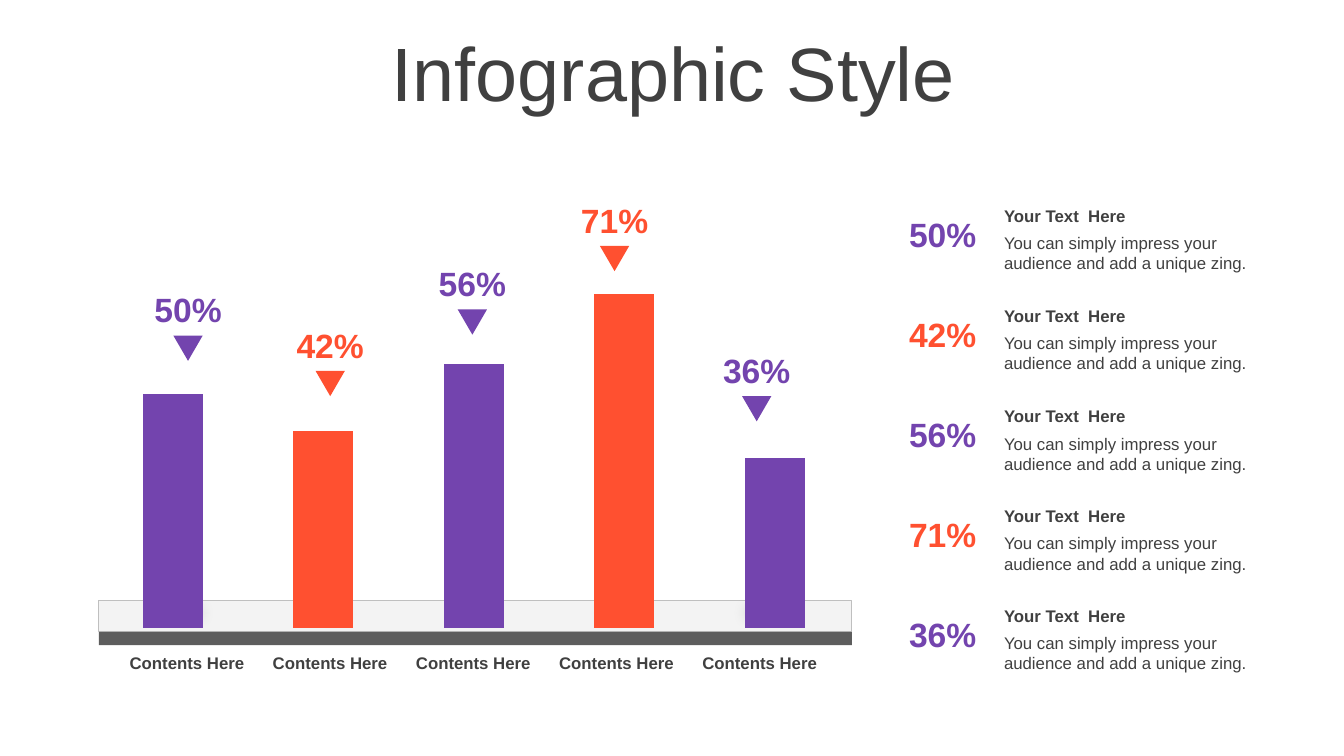
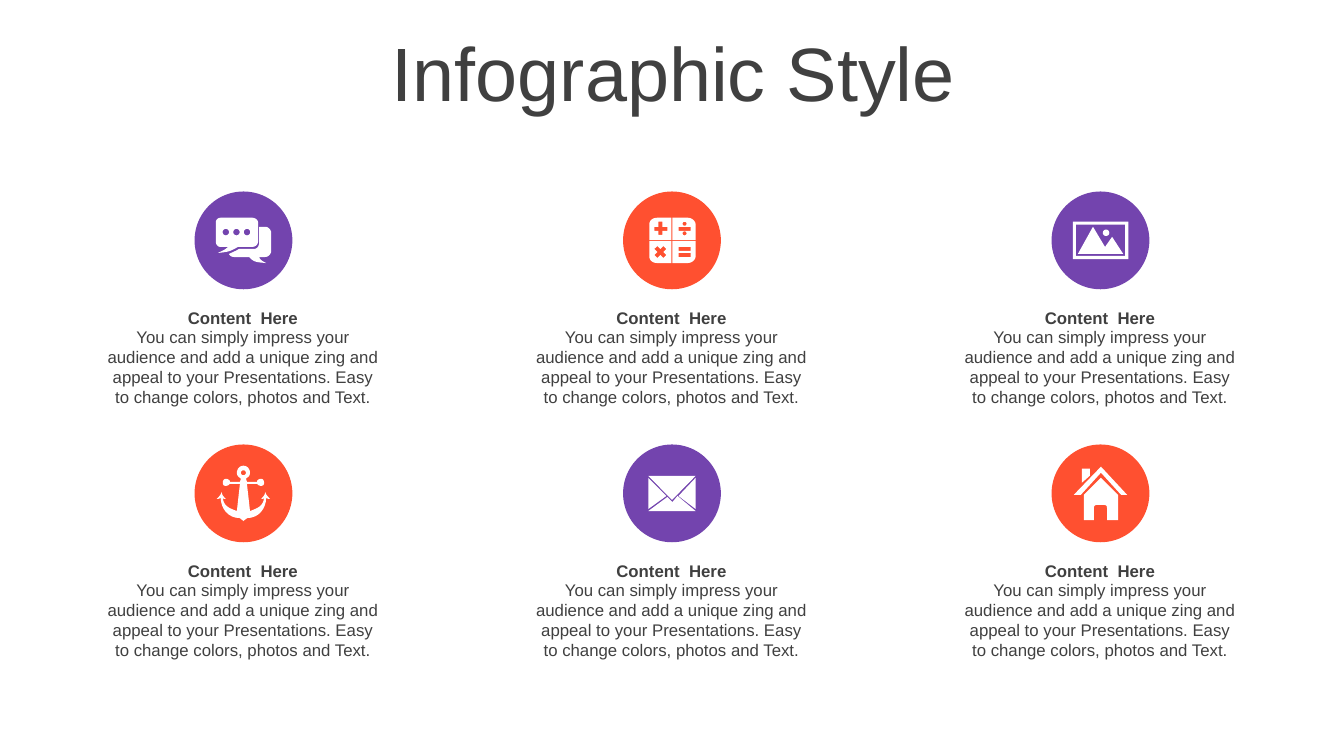
from math import cos, pi, sin

from lxml.etree import SubElement
from pptx import Presentation
from pptx.chart.data import CategoryChartData
from pptx.dml.color import RGBColor
from pptx.enum.chart import XL_CHART_TYPE
from pptx.enum.shapes import MSO_SHAPE
from pptx.enum.text import MSO_ANCHOR, PP_ALIGN
from pptx.oxml.ns import qn
from pptx.util import Inches, Pt

PURPLE = RGBColor(0x73, 0x44, 0xAE)
ORANGE = RGBColor(0xFF, 0x50, 0x30)
INK = RGBColor(0x40, 0x40, 0x40)
WHITE = RGBColor(0xFF, 0xFF, 0xFF)
BLACK = RGBColor(0x00, 0x00, 0x00)
FLOOR = RGBColor(0xF3, 0xF3, 0xF3)
FLOOR_LINE = RGBColor(0xBF, 0xBF, 0xBF)
FLOOR_EDGE = RGBColor(0x5D, 0x5D, 0x5D)
SHADE = RGBColor(0x80, 0x80, 0x80)
FONT = "Arial"

# Content
TITLE = "Infographic Style"
BAR_LABEL = "Contents Here"
LEGEND_HEAD = "Your Text  Here"
LEGEND_TEXT = "You can simply impress your audience and add a unique zing."
CARD_HEAD = "Content  Here"
CARD_TEXT = ("You can simply impress your audience and add a unique zing and "
             "appeal to your Presentations. Easy to change colors, photos and Text.")

# Share, bar height, top of the share above the bar, colour
BARS = [
    ("50%", 70, 2.82, PURPLE),
    ("42%", 59, 3.17, ORANGE),
    ("56%", 79, 2.56, PURPLE),
    ("71%", 100, 1.93, ORANGE),
    ("36%", 51, 3.42, PURPLE),
]


# Icon outlines, in hundredths of an inch from the corner of the disc
def outline(*steps):
    """Turn points and six-number Bezier curves into a list of points."""
    points = []
    for step in steps:
        if len(step) == 2:
            points.append(step)
            continue
        x0, y0 = points[-1]
        x1, y1, x2, y2, x3, y3 = step
        for part in range(1, 9):
            t = part / 8
            a, b, c, d = (1 - t) ** 3, 3 * t * (1 - t) ** 2, 3 * t * t * (1 - t), t ** 3
            points.append((a * x0 + b * x1 + c * x2 + d * x3,
                           a * y0 + b * y1 + c * y2 + d * y3))
    return points


def block(left, top, width, height):
    right, bottom = left + width, top + height
    return [(left, top), (right, top), (right, bottom), (left, bottom)]


def dot(x, y, radius):
    angles = [pi * part / 12 for part in range(24)]
    return [(x + radius * cos(angle), y + radius * sin(angle)) for angle in angles]


def mirrored(half, axis):
    return half + [(2 * axis - x, y) for x, y in reversed(half)]


CHAT = [
    *(dot(x, 40.3, 3.2) for x in (31, 41.5, 52)),
    outline((26, 26), (57, 26), (60, 26, 63, 28, 63, 31), (63, 49),
            (63, 53, 60, 55, 57, 55), (43, 55), (36, 59, 34, 60, 23, 61),
            (29, 58, 30, 58, 33, 55), (26, 55), (23, 55, 21, 53, 21, 49),
            (21, 31), (21, 28, 23, 26, 26, 26)),
    outline((64, 35), (70, 35), (73, 35, 76, 38, 76, 41), (76, 59),
            (76, 62, 73, 65, 70, 65), (64, 65), (65, 67, 65, 68, 71, 71),
            (60, 70, 59, 70, 54, 65), (39, 65), (37, 65, 35, 64, 34, 62),
            (38, 60, 41, 59, 44, 57), (59, 57), (62, 57, 64, 54, 64, 51)),
]
CALCULATOR = [
    outline((26, 48), (26, 33), (26, 29, 29, 26, 34, 26), (48, 26), (48, 48)),
    outline((49, 26), (64, 26), (68, 26, 72, 29, 72, 33), (72, 48), (49, 48)),
    outline((49, 49), (72, 49), (72, 64), (72, 68, 68, 71, 64, 71), (49, 71)),
    outline((26, 49), (48, 49), (48, 71), (34, 71), (29, 71, 26, 68, 26, 64)),
    outline((35, 30), (39, 30), (39, 35), (44, 35), (44, 39), (39, 39),
            (39, 43), (35, 43), (35, 39), (31, 39), (31, 35), (35, 35)),
    outline((34, 54), (37, 57), (40, 54), (43, 57), (40, 60), (43, 63),
            (40, 66), (37, 63), (34, 66), (31, 63), (34, 60), (31, 57)),
    *(block(55, top, 12, 4) for top in (35, 55, 61)),
    *(dot(61, y, 2) for y in (32, 41.5)),
]
LANDSCAPE = [
    block(21, 30, 55, 37),
    block(24, 33, 49, 31),
    [(41, 35), (53, 55), (60, 45), (71, 62), (26, 62)],
    dot(54, 41, 3.2),
]
ANCHOR = [
    dot(48.5, 28, 2.5),
    mirrored(outline(
        (48.5, 21), (52, 21, 55, 24, 55, 28), (55, 30, 54, 32, 52, 33), (51, 34),
        (52, 37), (62, 37), (62, 36), (63, 35, 64, 34, 66, 34),
        (68, 34, 69, 36, 69, 38), (69, 40, 68, 41, 66, 41),
        (64, 41, 63, 40, 62, 39), (52, 39), (55, 66), (63, 63, 68, 61, 69, 53),
        (68, 54, 67, 54, 66, 54), (68, 52, 70, 50, 70, 47),
        (71, 50, 73, 52, 75, 54), (74, 54, 73, 54, 71, 53),
        (71, 63, 64, 73, 52, 73), (50, 75, 49, 75, 48.5, 76)), 48.5),
]
ENVELOPE = [
    [(25, 31), (72, 31), (48.5, 55)],
    [(72, 33), (72, 64), (55, 51)],
    [(25, 33), (43, 51), (25, 64)],
    [(54, 51), (72, 66), (25, 66), (44, 52), (49, 57)],
]
HOUSE = [
    outline((49, 33), (66, 50), (66, 75), (55, 75), (55, 63),
            (55, 61, 54, 60, 52, 60), (45, 60), (43, 60, 42, 61, 42, 63),
            (42, 75), (32, 75), (32, 50)),
    [(30, 24), (38, 24), (38, 31), (30, 38)],
    [(49, 22), (75, 50), (69, 50), (49, 28), (29, 50), (22, 50)],
]
CARDS = [
    [(CHAT, PURPLE), (CALCULATOR, ORANGE), (LANDSCAPE, PURPLE)],
    [(ANCHOR, ORANGE), (ENVELOPE, PURPLE), (HOUSE, ORANGE)],
]


# Shared parts
def add_text(page, text, left, top, width, height, *, size=12, color=INK, bold=False,
             align=PP_ALIGN.CENTER, anchor=MSO_ANCHOR.TOP, spacing=None):
    box = page.shapes.add_textbox(*map(Inches, (left, top, width, height)))
    frame = box.text_frame
    frame.word_wrap = True
    frame.vertical_anchor = anchor
    para = frame.paragraphs[0]
    para.alignment = align
    para.line_spacing = spacing
    span = para.add_run()
    span.text = text
    span.font.name = FONT
    span.font.size = Pt(size)
    span.font.bold = bold
    span.font.color.rgb = color


def paint(shape, fill, line=None):
    shape.shadow.inherit = False
    shape.fill.solid()
    shape.fill.fore_color.rgb = fill
    if line is None:
        shape.line.fill.background()
    else:
        shape.line.color.rgb = line
        shape.line.width = Pt(0.75)
    return shape


def add_shape(page, kind, left, top, width, height, fill, line=None):
    shape = page.shapes.add_shape(kind, *map(Inches, (left, top, width, height)))
    return paint(shape, fill, line)


def add_icon(page, contours, left, top):
    fine = 100
    builder = None
    for contour in contours:
        start, *rest = [(x * fine, y * fine) for x, y in contour]
        if builder is None:
            builder = page.shapes.build_freeform(*start, scale=Inches(0.01) / fine)
        else:
            builder.move_to(*start)
        builder.add_line_segments(rest, close=True)
    paint(builder.convert_to_shape(Inches(left), Inches(top)), WHITE)


def add_page(deck):
    page = deck.slides.add_slide(deck.slide_layouts[6])
    add_text(page, TITLE, 0.35, 0.37, 12.66, 0.79, size=54,
             anchor=MSO_ANCHOR.MIDDLE, spacing=0.9)
    return page


# Column chart
def add_bars(page):
    data = CategoryChartData()
    data.categories = [str(number) for number in range(1, len(BARS) + 1)]
    data.add_series("Series 1", [height for _, height, _, _ in BARS])
    chart = page.shapes.add_chart(XL_CHART_TYPE.COLUMN_CLUSTERED,
                                  *map(Inches, (0.81, 1.46, 7.78, 4.87)), data).chart
    chart.has_legend = False
    chart.has_title = False
    chart.font.name = FONT
    chart.font.size = Pt(10)
    chart.font.color.rgb = BLACK
    chart.value_axis.minimum_scale = 0
    chart.value_axis.maximum_scale = 141
    chart.value_axis.has_major_gridlines = False
    chart.value_axis.visible = False
    chart.category_axis.visible = False
    plot = chart.plots[0]
    plot.gap_width = 150
    plot.vary_by_categories = False
    series = plot.series[0]
    series.format.fill.solid()
    series.format.fill.fore_color.rgb = PURPLE
    for index, (_, _, _, color) in enumerate(BARS):
        fill = series.points[index].format.fill
        fill.solid()
        fill.fore_color.rgb = color
    # Fix the plot area inside the frame
    area = chart._chartSpace.chart.plotArea
    layout = area.find(qn("c:layout"))
    if layout is None:
        layout = area.makeelement(qn("c:layout"))
        area.insert(0, layout)
    manual = SubElement(layout, qn("c:manualLayout"))
    for tag, value in [("layoutTarget", "inner"), ("xMode", "edge"), ("yMode", "edge"),
                       ("x", "0.02"), ("y", "0.02"), ("w", "0.96"), ("h", "0.96")]:
        SubElement(manual, qn("c:" + tag), val=value)


def build_chart_page(deck):
    page = add_page(deck)
    # Floor under the bars
    add_shape(page, MSO_SHAPE.RECTANGLE, 0.98, 5.96, 7.47, 0.31, FLOOR, FLOOR_LINE)
    add_shape(page, MSO_SHAPE.RECTANGLE, 0.98, 6.27, 7.47, 0.13, FLOOR_EDGE)
    for index in range(len(BARS)):
        shade = add_shape(page, MSO_SHAPE.OVAL, 1.35 + 1.42 * index, 5.91, 1.02, 0.35, SHADE)
        effects = shade._element.spPr.find(qn("a:effectLst"))
        SubElement(effects, qn("a:softEdge"), rad=str(Pt(10)))
    add_bars(page)
    # Labels of the bars and the list beside them
    for index, (share, _, top, color) in enumerate(BARS):
        add_text(page, BAR_LABEL, 1.14 + 1.42 * index, 6.43, 1.43, 0.3, bold=True,
                 anchor=MSO_ANCHOR.MIDDLE)
        left = 1.34 + 1.41 * index
        row = 1.99 + 0.99 * index + 0.01 * (index > 1)
        for x, y, width in [(left, top, 1.05), (8.86, row + 0.08, 0.98)]:
            add_text(page, share, x, y, width, 0.5, size=24, color=color, bold=True,
                     anchor=MSO_ANCHOR.MIDDLE)
        pointer = add_shape(page, MSO_SHAPE.ISOSCELES_TRIANGLE,
                            left + 0.38, top + 0.51, 0.29, 0.25, color)
        pointer.rotation = 180
        add_text(page, LEGEND_HEAD, 9.86, row, 2.74, 0.3, bold=True, align=PP_ALIGN.LEFT)
        add_text(page, LEGEND_TEXT, 9.86, row + 0.27, 2.74, 0.5, align=PP_ALIGN.LEFT)


# Icon cards
def build_card_page(deck):
    page = add_page(deck)
    for row, cards in enumerate(CARDS):
        for column, (icon, color) in enumerate(cards):
            left, top = 0.93 + 4.25 * column, 1.9 + 2.51 * row
            add_shape(page, MSO_SHAPE.OVAL, left + 1, top, 0.97, 0.97, color)
            add_icon(page, icon, left + 1, top)
            add_text(page, CARD_HEAD, left, top + 1.1, 2.96, 0.3, bold=True)
            add_text(page, CARD_TEXT, left + 0.02, top + 1.29, 2.92, 0.91)


def main():
    deck = Presentation()
    deck.slide_width = Inches(13.33)
    deck.slide_height = Inches(7.5)
    build_chart_page(deck)
    build_card_page(deck)
    deck.save("out.pptx")


if __name__ == "__main__":
    main()
